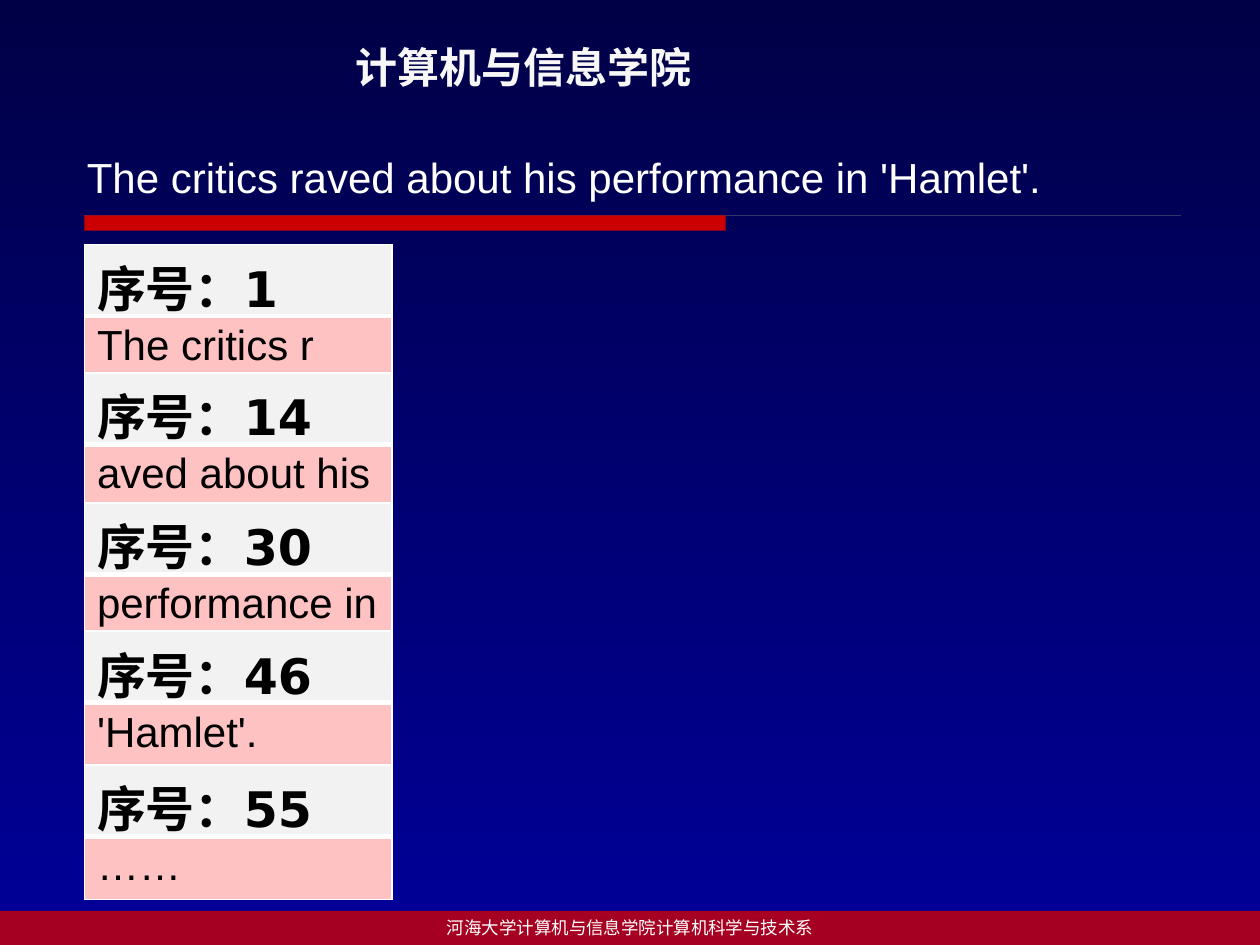
import pptx
import pptx.util
import pptx.dml.color
import pptx.enum.shapes
import pptx.enum.text
import pptx.oxml
import pptx.oxml.ns

Inches, Pt = pptx.util.Inches, pptx.util.Pt
ALIGN, ANCHOR = pptx.enum.text.PP_ALIGN, pptx.enum.text.MSO_ANCHOR

SCHOOL = "计算机与信息学院"
LINE = "The critics raved about his performance in 'Hamlet'."
FOOTER = "河海大学计算机与信息学院计算机科学与技术系"
SEGMENTS = [  # top, sequence number, payload
    (1.94, 1, "The critics r"),
    (2.96, 14, "aved about his"),
    (3.99, 30, "performance in"),
    (5.01, 46, "'Hamlet'."),
    (6.07, 55, "……"),
]
LEFT, WIDE, ROW = 0.67, 2.44, 0.47

THEME = {
    "sky": ("000047", "000099"), "bar": "CC0000", "rule": "333366",
    "foot": "A50021", "head": "F2F2F2", "data": "FFC2C2", "edge": "FFFFFF",
    # font, size, colour, bold
    "school": ("DejaVu Sans", 24, "F7F7F7", True),
    "line": ("Arial", 24, "FFFFFF", False),
    "footer": ("Times New Roman", 10, "FFFFFF", False),
    "number": ("DejaVu Sans", 28, "000000", True),
    "text": ("Arial", 24, "000000", False),
}


def rgb(name):
    return pptx.dml.color.RGBColor.from_string(name)


def write(frame, text, style, align=ALIGN.LEFT):
    para = frame.paragraphs[0]
    para.alignment = align
    run = para.add_run()
    run.text = text
    face, size, color, bold = THEME[style]
    run.font.name, run.font.size, run.font.bold = face, Pt(size), bold
    run.font.color.rgb = rgb(color)


def place(shape, left, top, width, height):
    shape.left, shape.top = Inches(left), Inches(top)
    shape.width, shape.height = Inches(width), Inches(height)


def block(slide, box, color):
    shape = slide.shapes.add_shape(
        pptx.enum.shapes.MSO_SHAPE.RECTANGLE, *map(Inches, box))
    shape.shadow.inherit = False
    shape.fill.solid()
    shape.fill.fore_color.rgb = rgb(color)
    shape.line.fill.background()
    return shape


def edge(cell, widths):
    """Draw cell borders; widths are in points, in the order L, R, T, B."""
    props = cell._tc.get_or_add_tcPr()
    for side, width in zip("LRTB", widths):
        props.append(pptx.oxml.parse_xml(
            f'<a:ln{side} {pptx.oxml.ns.nsdecls("a")} w="{Pt(width)}">'
            f'<a:solidFill><a:srgbClr val="{THEME["edge"]}"/></a:solidFill>'
            f'</a:ln{side}>'))


def segment(slide, top, number, text):
    table = slide.shapes.add_table(
        2, 1, *map(Inches, (LEFT, top, WIDE, 2 * ROW))).table
    table.first_row = table.horz_banding = False
    rows = [(f"序号：{number}", "number", "head", (1, 1, 1, 3)),
            (text, "text", "data", (1, 1, 3, 1))]
    for i, (words, style, fill, widths) in enumerate(rows):
        cell = table.cell(i, 0)
        edge(cell, widths)
        cell.fill.solid()
        cell.fill.fore_color.rgb = rgb(THEME[fill])
        write(cell.text_frame, words, style)


def main():
    deck = pptx.Presentation()
    deck.slide_width, deck.slide_height = Inches(10), Inches(7.5)
    slide = deck.slides.add_slide(deck.slide_layouts[5])

    sky = slide.background.fill
    sky.gradient()
    sky.gradient_angle = 270
    for stop, color, spot in zip(sky.gradient_stops, THEME["sky"], (0, 1)):
        stop.color.rgb = rgb(color)
        stop.position = spot

    rule = slide.shapes.add_connector(
        pptx.enum.shapes.MSO_CONNECTOR.STRAIGHT,
        *map(Inches, (LEFT, 1.71, 9.37, 1.71)))
    rule.line.color.rgb = rgb(THEME["rule"])
    rule.line.width = Pt(0.75)
    rule._element.spPr.append(pptx.oxml.parse_xml(
        f'<a:effectLst {pptx.oxml.ns.nsdecls("a")}/>'))
    block(slide, (LEFT, 1.71, 5.09, 0.12), THEME["bar"])

    foot = block(slide, (0, 7.23, 10, 0.27), THEME["foot"])
    foot.text_frame.vertical_anchor = ANCHOR.MIDDLE
    write(foot.text_frame, FOOTER, "footer", ALIGN.CENTER)

    title = slide.shapes.title
    place(title, 2.72, 0.28, 3.07, 0.5)
    title.text_frame.vertical_anchor = ANCHOR.TOP
    title.text_frame.auto_size = pptx.enum.text.MSO_AUTO_SIZE.NONE
    write(title.text_frame, SCHOOL, "school")

    line = slide.shapes.add_textbox(*map(Inches, (0.59, 1.15, 8.19, 0.5)))
    line.text_frame.word_wrap = True
    write(line.text_frame, LINE, "line")

    for item in SEGMENTS:
        segment(slide, *item)
    deck.save("out.pptx")


if __name__ == "__main__":
    main()
